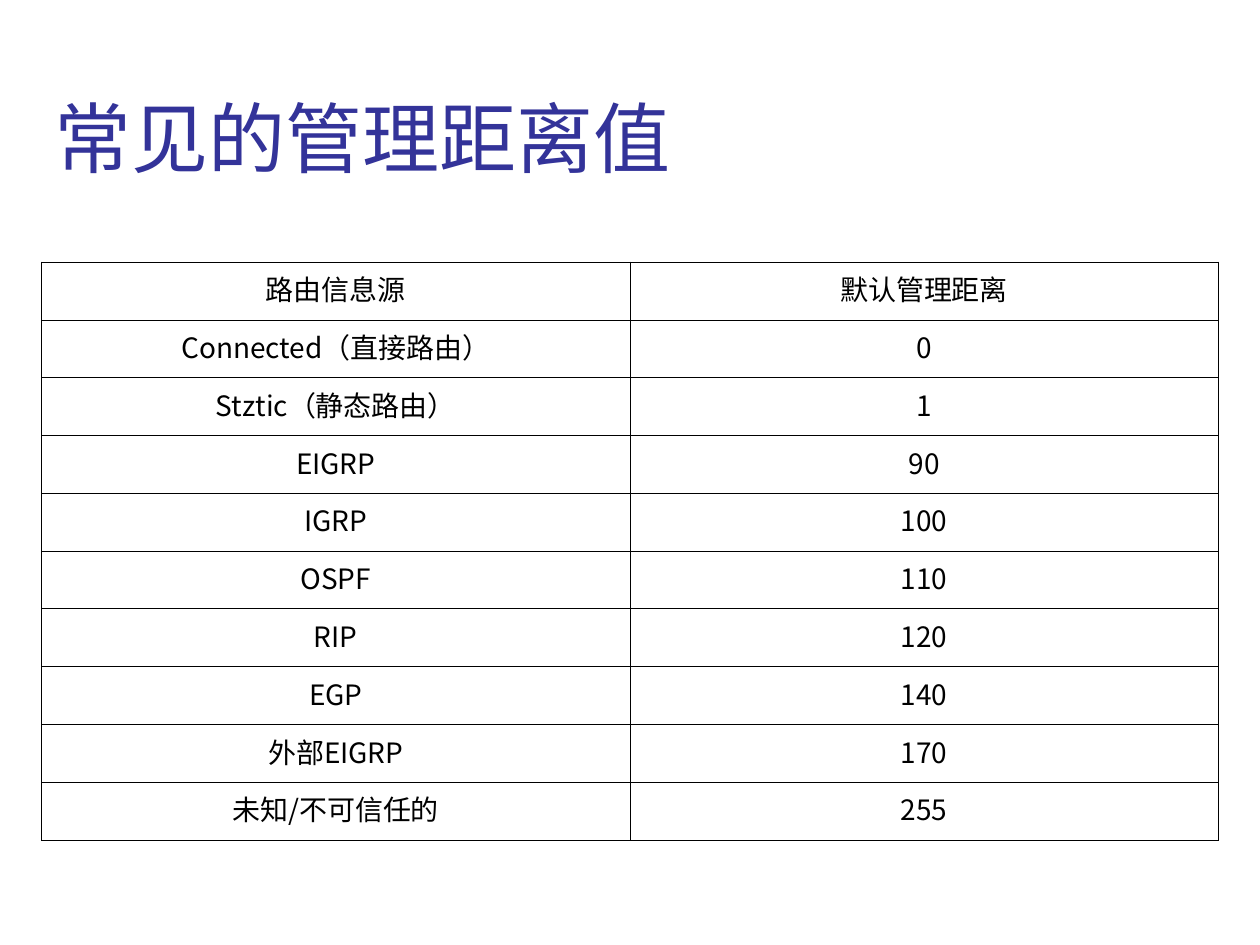
from pptx import Presentation
from pptx.dml.color import RGBColor
from pptx.enum.text import MSO_ANCHOR, PP_ALIGN
from pptx.oxml import parse_xml
from pptx.oxml.ns import nsdecls
from pptx.util import Inches, Pt

TITLE_FONT = "Cabin"
TABLE_FONT = "Noto Sans CJK SC"
DISTANCES = [
    ("路由信息源", "默认管理距离"),
    ("Connected（直接路由）", "0"),
    ("Stztic（静态路由）", "1"),
    ("EIGRP", "90"),
    ("IGRP", "100"),
    ("OSPF", "110"),
    ("RIP", "120"),
    ("EGP", "140"),
    ("外部EIGRP", "170"),
    ("未知/不可信任的", "255"),
]


def color(hex_code):
    return RGBColor.from_string(hex_code)


def format_text(paragraph, font_name, size, hex_code):
    for run in paragraph.runs:
        run.font.name = font_name
        run.font.size = Pt(size)
        run.font.color.rgb = color(hex_code)
        # East Asian characters take their own typeface
        run.font._element.get_or_add_latin().addnext(
            parse_xml(f'<a:ea {nsdecls("a")} typeface="{font_name}"/>'))


def add_borders(cell, hex_code, width):
    properties = cell._tc.get_or_add_tcPr()
    for position, side in enumerate(("lnL", "lnR", "lnT", "lnB")):
        properties.insert(position, parse_xml(
            f'<a:{side} {nsdecls("a")} w="{Pt(width)}"><a:solidFill>'
            f'<a:srgbClr val="{hex_code}"/></a:solidFill></a:{side}>'))


def place_title(slide, left, top, width, height):
    title = slide.shapes.title
    title.left, title.top, title.width, title.height = left, top, width, height
    frame = title.text_frame
    frame.text = "常见的管理距离值"
    frame.word_wrap = True
    frame.vertical_anchor = MSO_ANCHOR.TOP
    heading = frame.paragraphs[0]
    heading.alignment = PP_ALIGN.LEFT
    format_text(heading, TITLE_FONT, 44, "333399")


def place_distance_table(slide, left, top, width, height):
    table = slide.shapes.add_table(
        len(DISTANCES), len(DISTANCES[0]), left, top, width, height).table
    table.first_row = table.horz_banding = False
    for row, entries in enumerate(DISTANCES):
        for column, entry in enumerate(entries):
            cell = table.cell(row, column)
            cell.text = entry
            cell.vertical_anchor = MSO_ANCHOR.TOP
            cell.fill.background()
            add_borders(cell, "000000", 0.45)
            paragraph = cell.text_frame.paragraphs[0]
            paragraph.alignment = PP_ALIGN.CENTER
            # Hanging indent
            properties = paragraph._p.get_or_add_pPr()
            properties.set("marL", str(Inches(0.38)))
            properties.set("indent", str(-Inches(0.38)))
            format_text(paragraph, TABLE_FONT, 16, "000000")


def main():
    presentation = Presentation()
    presentation.slide_width = Inches(10)
    presentation.slide_height = Inches(7.5)
    slide = presentation.slides.add_slide(presentation.slide_layouts[5])
    slide.background.fill.solid()
    slide.background.fill.fore_color.rgb = color("FFFFFF")

    # Title above the table, sharing its left edge and width
    left, width = Inches(0.33), Inches(9.34)
    place_title(slide, left, Inches(0.67), width, Inches(1.25))
    place_distance_table(slide, left, Inches(2.08), width, Inches(4.59))
    presentation.save("out.pptx")


if __name__ == "__main__":
    main()
